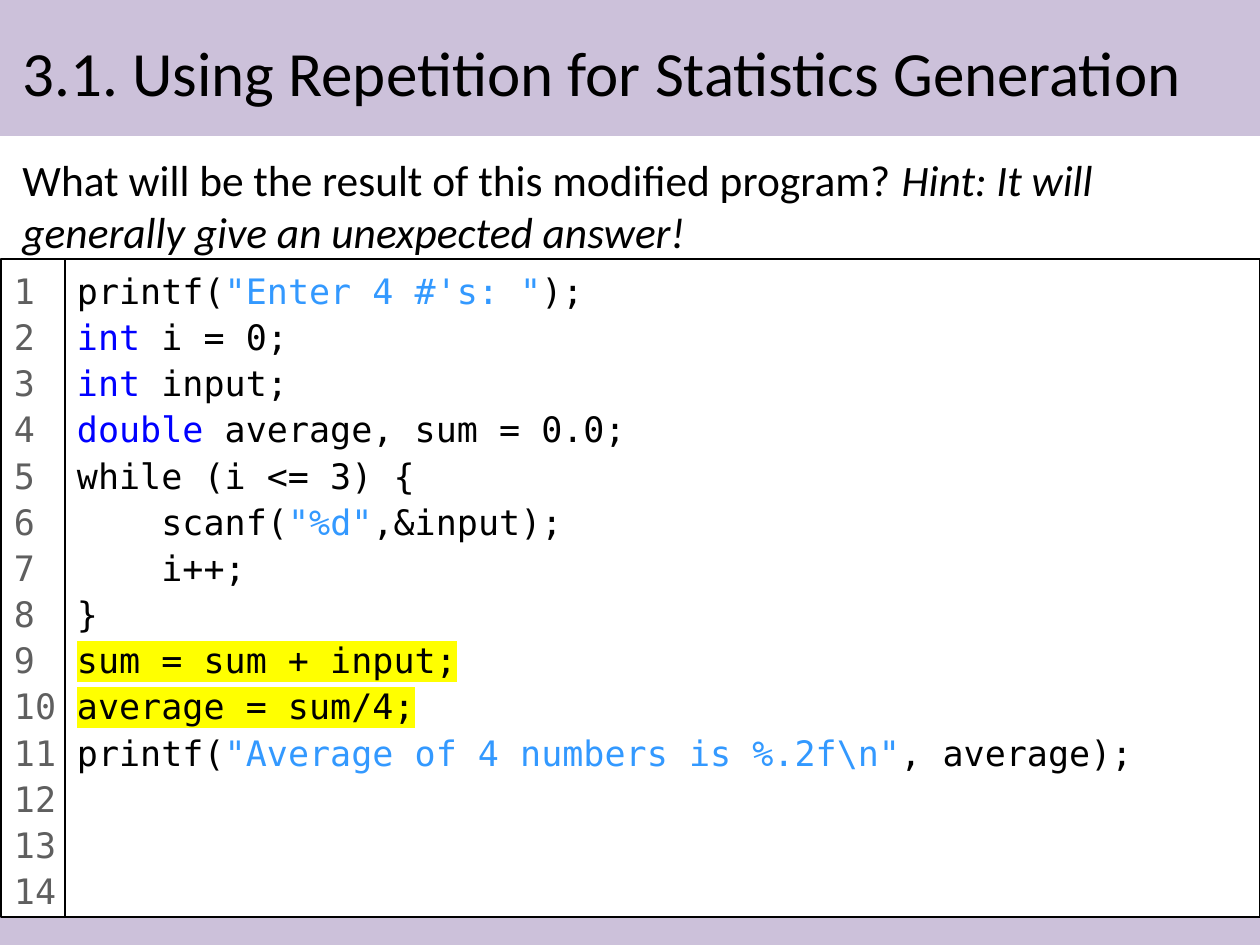
from lxml import etree
from pptx import Presentation
from pptx.dml.color import RGBColor
from pptx.enum.shapes import MSO_SHAPE
from pptx.enum.text import MSO_ANCHOR, PP_ALIGN
from pptx.oxml.ns import qn
from pptx.util import Pt

RECT = MSO_SHAPE.RECTANGLE
TOP, MIDDLE = MSO_ANCHOR.TOP, MSO_ANCHOR.MIDDLE
LEFT = PP_ALIGN.LEFT

PX = 914400 / 126
BLACK, WHITE, LILAC = "000000", "FFFFFF", "CCC1DA"
GRAY, KEYWORD, STRING, MARKER = "5F5F5F", "0000FF", "3399FF", "FFFF00"
INSET = 13


def px(*lengths):
    return [round(length * PX) for length in lengths]


def add_span(para, text, size, font, color=BLACK):
    span = para.add_run()
    span.text = text
    span.font.size = Pt(size)
    span.font.name = font
    span.font.color.rgb = RGBColor.from_string(color)
    return span


deck = Presentation()
deck.slide_width, deck.slide_height = px(1260, 945)
page = deck.slides.add_slide(deck.slide_layouts[6])

# Header and footer bands
for top, height in ((0, 136), (861, 84)):
    band = page.shapes.add_shape(RECT, *px(0, top, 1260, height))
    band.shadow.inherit = False
    band.fill.solid()
    band.fill.fore_color.rgb = RGBColor.from_string(LILAC)
    band.line.fill.background()

# Title and question
title = page.shapes.add_textbox(*px(10, 39, 1239, 64)).text_frame
title.word_wrap = True
title.vertical_anchor = MIDDLE
add_span(title.paragraphs[0], "3.1. Using Repetition for Statistics Generation", 36, "Calibri")

question = page.shapes.add_textbox(*px(10, 147, 1231, 98)).text_frame
question.word_wrap = True
para = question.paragraphs[0]
add_span(para, "What will be the result of this modified program? ", 24.8, "Calibri")
hint = add_span(para, "Hint: It will generally give an unexpected answer!", 24.8, "Calibri")
hint.font.italic = True

# Program listing: each line is a list of (text, colour, highlight)
code_lines = [
    [("printf(", BLACK, None), ("\"Enter 4 #'s: \"", STRING, None), (");", BLACK, None)],
    [("int ", KEYWORD, None), ("i = 0;", BLACK, None)],
    [("int", KEYWORD, None), (" input;", BLACK, None)],
    [("double ", KEYWORD, None), ("average, sum = 0.0;", BLACK, None)],
    [("while (i <= 3) {", BLACK, None)],
    [("    scanf(", BLACK, None), ('"%d"', STRING, None), (",&input);", BLACK, None)],
    [("    i++;", BLACK, None)],
    [("}", BLACK, None)],
    [("sum = sum + input;", BLACK, MARKER)],
    [("average = sum/4;", BLACK, MARKER)],
    [("printf(", BLACK, None), ('"Average of 4 numbers is %.2f\\n"', STRING, None),
     (", average);", BLACK, None)],
]
number_lines = [[(str(number), GRAY, None)] for number in range(1, 15)]

for left, width, right_inset, lines in (
    (64, 1196, INSET, code_lines),
    (1, 64, 0, number_lines),
):
    panel = page.shapes.add_shape(RECT, *px(left, 259, width, 658))
    panel.shadow.inherit = False
    panel.fill.solid()
    panel.fill.fore_color.rgb = RGBColor.from_string(WHITE)
    panel.line.color.rgb = RGBColor.from_string(BLACK)
    panel.line.width = Pt(0.75)
    frame = panel.text_frame
    frame.word_wrap = True
    frame.vertical_anchor = TOP
    frame.margin_left, frame.margin_right = px(INSET, right_inset)
    for index, line in enumerate(lines):
        para = frame.add_paragraph() if index else frame.paragraphs[0]
        para.alignment = LEFT
        para.line_spacing = 1.1
        for text, color, highlight in line:
            span = add_span(para, text, 20, "DejaVu Sans Mono", color)
            if highlight:
                mark = etree.Element(qn("a:highlight"))
                etree.SubElement(mark, qn("a:srgbClr"), val=highlight)
                span.font.fill._xPr.find(qn("a:solidFill")).addnext(mark)

deck.save("out.pptx")
